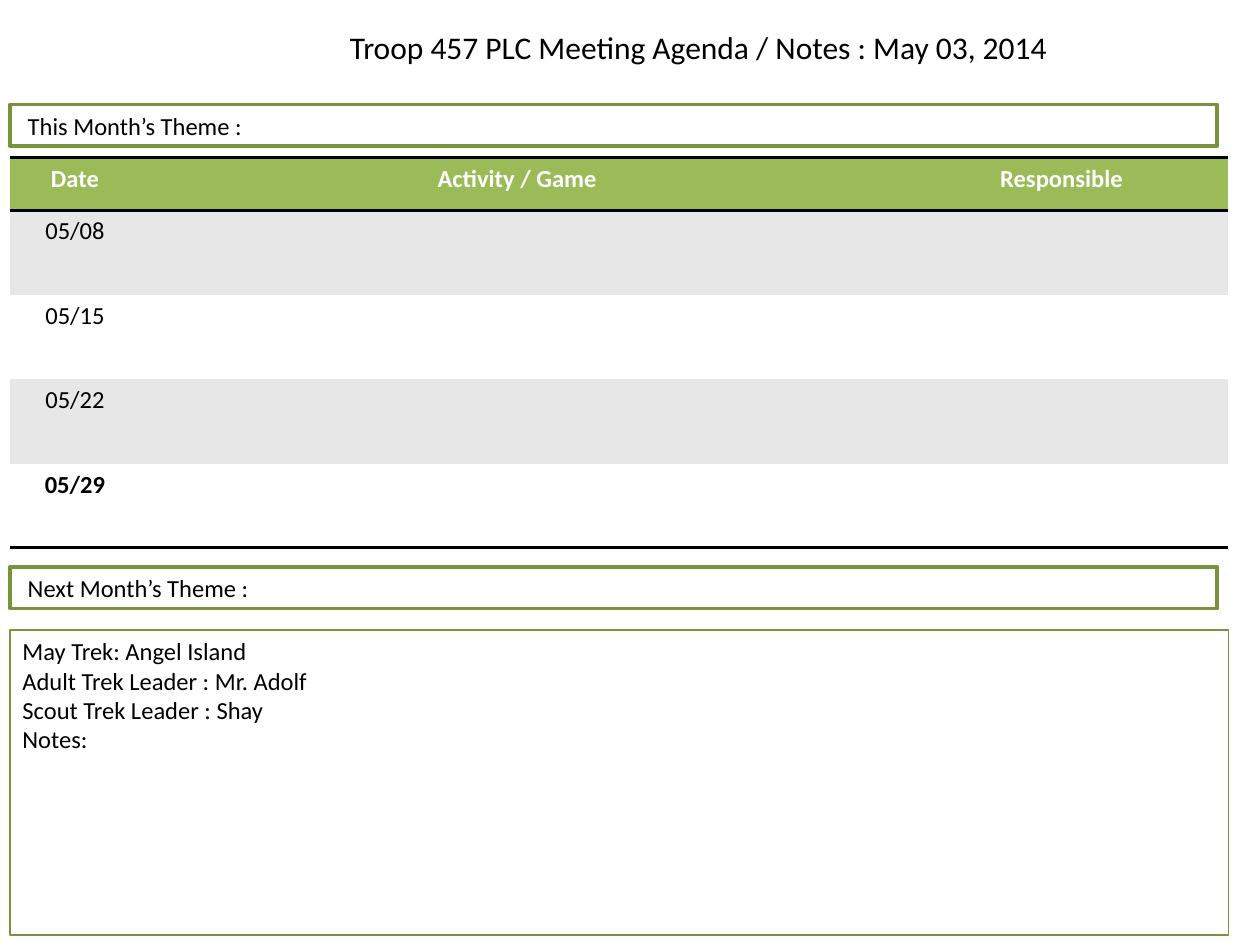
from lxml import etree
from pptx import Presentation
from pptx.dml.color import RGBColor
from pptx.enum.shapes import MSO_SHAPE
from pptx.enum.text import MSO_ANCHOR, PP_ALIGN
from pptx.oxml.ns import qn
from pptx.util import Inches, Pt

RECTANGLE = MSO_SHAPE.RECTANGLE
TOP, MIDDLE = MSO_ANCHOR.TOP, MSO_ANCHOR.MIDDLE
LEFT, CENTER = PP_ALIGN.LEFT, PP_ALIGN.CENTER

# Content
TITLE = "Troop 457 PLC Meeting Agenda / Notes : May 03, 2014"
HEADERS = ["Date", "Activity / Game", "Responsible"]
DATES = ["05/08", "05/15", "05/22", "05/29"]
THEMES = [("This Month’s Theme :", 0.83), ("Next Month’s Theme :", 4.5)]
NOTES = ["May Trek: Angel Island", "Adult Trek Leader : Mr. Adolf",
         "Scout Trek Leader : Shay", "Notes:"]

# Style and grid, in inches
COLORS = {"text": "000000", "header": "9BBB59", "header_text": "FFFFFF",
          "band": "E7E7E7", "plain": "FFFFFF", "outline": "77933C"}
FONT = "Calibri"
MARGIN, FULL_WIDTH, THEME_WIDTH = 0.08, 9.67, 9.58
COLUMN_WIDTHS = [1.03, 5.99, 2.65]
HEADER_HEIGHT, ROW_HEIGHT = 0.42, 0.67
NO_STYLE = "{2D5ABB26-0587-4C30-8999-92F81FD0307C}"


def color(name):
    return RGBColor.from_string(COLORS[name])


def write(text_frame, text, size=14, ink="text", bold=False, align=LEFT):
    text_frame.text = text
    for paragraph in text_frame.paragraphs:
        paragraph.alignment = align
        for run in paragraph.runs:
            run.font.name, run.font.size, run.font.bold = FONT, Pt(size), bold
            run.font.color.rgb = color(ink)


def add_box(slide, text, top, width, height, line_width, anchor, inset):
    box = slide.shapes.add_shape(RECTANGLE, Inches(MARGIN), Inches(top),
                                 Inches(width), Inches(height))
    box.shadow.inherit = False
    box.fill.background()
    box.line.color.rgb = color("outline")
    box.line.width = Pt(line_width)
    box.text_frame.vertical_anchor = anchor
    box.text_frame.margin_left = Inches(inset)
    write(box.text_frame, text)


def add_border(cell, side):
    line = etree.SubElement(cell._tc.get_or_add_tcPr(), qn("a:" + side), w=str(Pt(2)))
    fill = etree.SubElement(line, qn("a:solidFill"))
    etree.SubElement(fill, qn("a:srgbClr"), val=COLORS["text"])


def add_schedule(slide):
    rows = [HEADERS] + [[date, "", ""] for date in DATES]
    last = len(rows) - 1
    frame = slide.shapes.add_table(
        len(rows), len(HEADERS), Inches(MARGIN), Inches(1.25), Inches(FULL_WIDTH),
        Inches(HEADER_HEIGHT + ROW_HEIGHT * last))
    table = frame.table
    table._tbl.tblPr.find(qn("a:tableStyleId")).text = NO_STYLE
    table.horz_banding = False
    for column, width in zip(table.columns, COLUMN_WIDTHS):
        column.width = Inches(width)
    for r, texts in enumerate(rows):
        is_header = r == 0
        table.rows[r].height = Inches(HEADER_HEIGHT if is_header else ROW_HEIGHT)
        background = "header" if is_header else "band" if r % 2 else "plain"
        for c, text in enumerate(texts):
            cell = table.cell(r, c)
            if is_header:
                add_border(cell, "lnT")
            if r in (0, last):
                add_border(cell, "lnB")
            cell.fill.solid()
            cell.fill.fore_color.rgb = color(background)
            write(cell.text_frame, text, ink="header_text" if is_header else "text",
                  bold=r in (0, last), align=CENTER)


def main():
    presentation = Presentation()
    presentation.slide_width, presentation.slide_height = Inches(10), Inches(7.5)
    slide = presentation.slides.add_slide(presentation.slide_layouts[5])

    # Title
    title = slide.shapes.title
    title.left, title.top = Inches(2.63), Inches(0.17)
    title.width, title.height = Inches(5.83), Inches(0.4)
    title.text_frame.word_wrap = False
    title.text_frame.vertical_anchor = TOP
    write(title.text_frame, TITLE, size=18, align=CENTER)

    # Schedule, trek notes and theme bars
    add_schedule(slide)
    add_box(slide, "\n".join(NOTES), 5, FULL_WIDTH, 2.42, 0.75, TOP, 0.1)
    for text, top in THEMES:
        add_box(slide, text, top, THEME_WIDTH, 0.33, 2.25, MIDDLE, 0.14)

    presentation.save("out.pptx")


if __name__ == "__main__":
    main()
